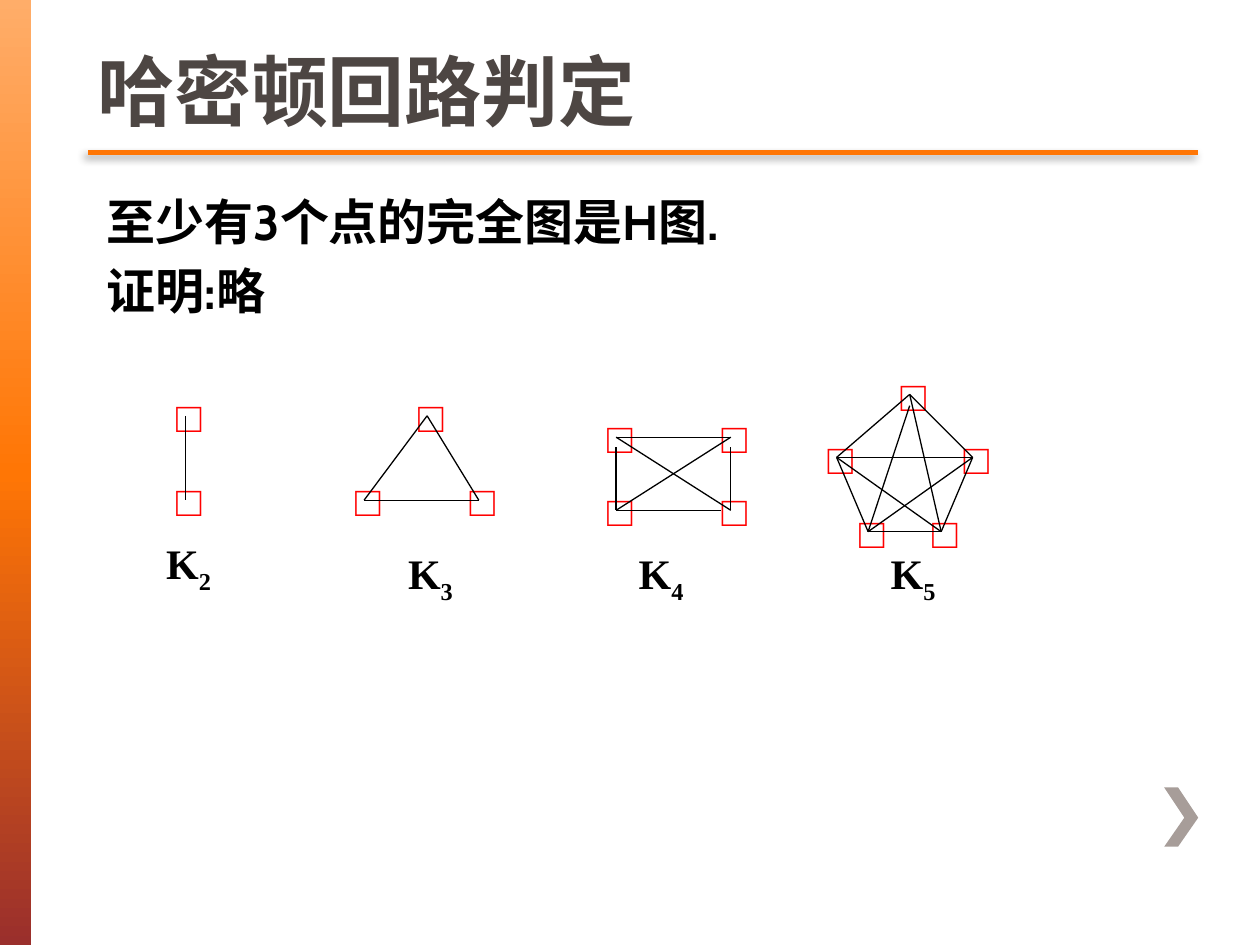
from dataclasses import dataclass
from itertools import combinations

from pptx import Presentation
from pptx.dml.color import RGBColor
from pptx.enum.shapes import MSO_CONNECTOR, MSO_SHAPE
from pptx.enum.text import MSO_ANCHOR, MSO_AUTO_SIZE, PP_ALIGN
from pptx.oxml import parse_xml
from pptx.oxml.ns import nsdecls, qn
from pptx.util import Emu, Pt

EMU_PER_PX = 9144  # 100 px to the inch


@dataclass(frozen=True)
class Theme:
    accent: str = "FF7605"
    stripe: tuple = ((0, "FFAD69"), (50, "FF7605"), (100, "9A2F2C"))
    chevron: str = "A79D99"
    title: str = "4D4643"
    title_outline: str = "675D59"
    ink: str = "000000"
    vertex: str = "FF0000"
    title_font: str = "Arial"
    body_font: str = "Cabin"
    graph_font: str = "Times New Roman"
    title_size: int = 44
    body_size: int = 28
    graph_size: int = 24


THEME = Theme()


@dataclass(frozen=True)
class CompleteGraph:
    """Vertices and label are offsets from origin; trims shift edge starts and ends."""
    origin: tuple
    vertices: tuple
    label: tuple
    starts: dict
    ends: dict


GRAPHS = (
    CompleteGraph((147, 330), ((0, 0), (0, 67)), (-25, 92), {}, {}),
    CompleteGraph((289, 330), ((50, 0), (0, 67), (91, 67)), (25, 100), {}, {}),
    CompleteGraph((489, 347), ((0, 0), (91, 0), (0, 58), (91, 58)), (8, 83),
                  {(0, 2): (0, 8), (1, 3): (0, 8)}, {(2, 3): (-8, 0)}),
    CompleteGraph((664, 313), ((58, 0), (0, 50), (108, 50), (25, 109), (83, 109)),
                  (33, 117), {(0, 3): (0, 9)}, {}),
)


def px(*lengths):
    return [Emu(length * EMU_PER_PX) for length in lengths]


def color(value):
    return RGBColor.from_string(value)


def shift(point, offset):
    return point[0] + offset[0], point[1] + offset[1]


def add_run(paragraph, text, font, size, ink):
    run = paragraph.add_run()
    run.text = text
    run.font.name = font
    run.font.size = Pt(size)
    run.font.bold = True
    run.font.color.rgb = color(ink)
    return run


def add_text_frame(shapes, left, top, width, height):
    frame = shapes.add_textbox(*px(left, top, width, height)).text_frame
    frame.word_wrap = True
    frame.auto_size = MSO_AUTO_SIZE.SHAPE_TO_FIT_TEXT
    return frame


def add_line(shapes, start, end, ink, weight, effects=""):
    line = shapes.add_connector(MSO_CONNECTOR.STRAIGHT, *px(*start, *end))
    line.line.color.rgb = color(ink)
    line.line.width = Pt(weight)
    line._element.spPr.append(
        parse_xml(f'<a:effectLst {nsdecls("a")}>{effects}</a:effectLst>'))


def add_stripe(slide, left, top, width, height):
    stripe = slide.shapes.add_shape(MSO_SHAPE.RECTANGLE, *px(left, top, width, height))
    stripe.shadow.inherit = False
    stripe.line.fill.background()
    stripe.fill.gradient()
    stripe.fill.gradient_angle = 270
    gradient = stripe._element.spPr.find(qn("a:gradFill"))
    stops = "".join(f'<a:gs pos="{position * 1000}"><a:srgbClr val="{value}"/></a:gs>'
                    for position, value in THEME.stripe)
    gradient.replace(gradient.find(qn("a:gsLst")),
                     parse_xml(f'<a:gsLst {nsdecls("a")}>{stops}</a:gsLst>'))


def add_chevron(slide, left, top, width, height):
    arm, middle = 11, height // 2 + 1
    outline = [(arm, 0), (0, 0), (width - arm, middle), (0, height),
               (arm, height), (width, middle)]
    points = [px(*shift((left, top), point)) for point in outline]
    builder = slide.shapes.build_freeform(*points[0], scale=1.0)
    builder.add_line_segments(points[1:], close=True)
    chevron = builder.convert_to_shape()
    chevron.shadow.inherit = False
    chevron.fill.solid()
    chevron.fill.fore_color.rgb = color(THEME.chevron)
    chevron.line.fill.background()


def add_title_rule(slide, left, top, width):
    shadow = ('<a:outerShdw blurRad="63500" dist="38100" dir="8100000" rotWithShape="0">'
              '<a:srgbClr val="000000"><a:alpha val="45000"/></a:srgbClr></a:outerShdw>')
    add_line(slide.shapes, (left, top), (left + width, top), THEME.accent, 2.5, shadow)


def set_title(slide, left, top, width, height, text):
    title = slide.shapes.title
    title.left, title.top, title.width, title.height = px(left, top, width, height)
    frame = title.text_frame
    frame.word_wrap = True
    frame.auto_size = MSO_AUTO_SIZE.NONE
    frame.vertical_anchor = MSO_ANCHOR.BOTTOM
    paragraph = frame.paragraphs[0]
    paragraph.alignment = PP_ALIGN.LEFT
    run = add_run(paragraph, text, THEME.title_font, THEME.title_size, THEME.title)
    run.font._element.insert(0, parse_xml(
        f'<a:ln w="12700" {nsdecls("a")}><a:solidFill>'
        f'<a:srgbClr val="{THEME.title_outline}"/></a:solidFill></a:ln>'))


def add_body(slide, left, top, width, height, lines):
    frame = add_text_frame(slide.shapes, left, top, width, height)
    for index, text in enumerate(lines):
        paragraph = frame.add_paragraph() if index else frame.paragraphs[0]
        if index:
            paragraph.space_before = Pt(THEME.body_size * 0.2)
        add_run(paragraph, text, THEME.body_font, THEME.body_size, THEME.ink)


def add_complete_graph(slide, graph):
    shapes = slide.shapes.add_group_shape().shapes
    vertices = [shift(graph.origin, vertex) for vertex in graph.vertices]
    for left, top in vertices:
        frame = add_text_frame(shapes, left - 17, top - 25, 50, 50)
        add_run(frame.paragraphs[0], "□", THEME.graph_font, THEME.graph_size, THEME.vertex)
    for edge in combinations(range(len(vertices)), 2):
        start = shift(vertices[edge[0]], graph.starts.get(edge, (0, 0)))
        end = shift(vertices[edge[1]], graph.ends.get(edge, (0, 0)))
        add_line(shapes, start, end, THEME.ink, 0.75)
    label = add_text_frame(shapes, *shift(graph.origin, graph.label), 67, 50).paragraphs[0]
    add_run(label, "K", THEME.graph_font, THEME.graph_size, THEME.ink)
    order = add_run(label, str(len(vertices)), THEME.graph_font, THEME.graph_size, THEME.ink)
    order.font._element.set("baseline", "-25000")


def main():
    presentation = Presentation()
    presentation.slide_width, presentation.slide_height = px(1000, 750)
    slide = presentation.slides.add_slide(presentation.slide_layouts[5])
    add_stripe(slide, 0, 0, 25, 750)
    add_chevron(slide, 924, 625, 27, 47)
    add_title_rule(slide, 70, 121, 881)
    for graph in GRAPHS:
        add_complete_graph(slide, graph)
    add_body(slide, 75, 147, 675, 113, ("至少有3个点的完全图是H图.", "证明:略"))
    set_title(slide, 67, 0, 881, 113, "哈密顿回路判定")
    presentation.save("out.pptx")


if __name__ == "__main__":
    main()
